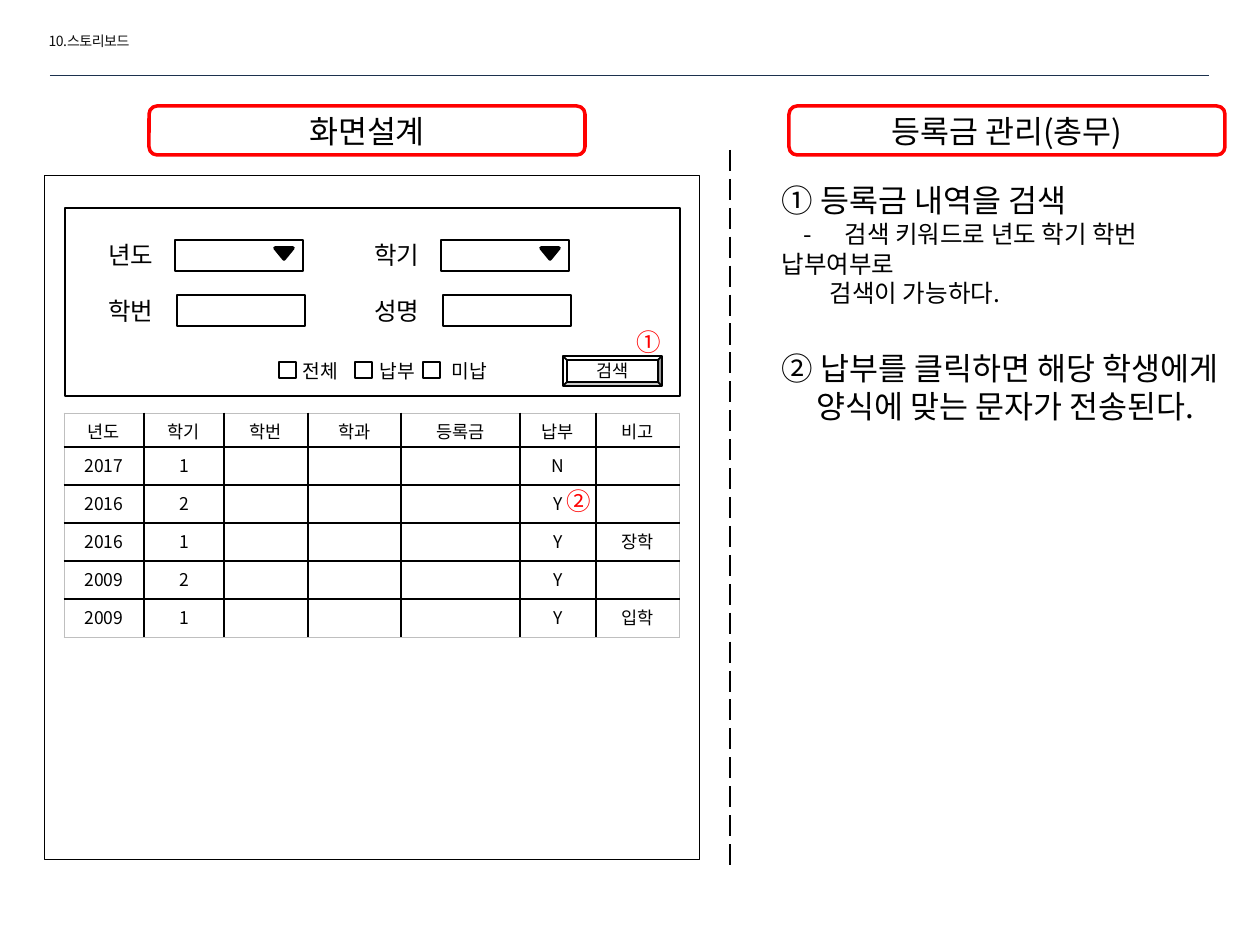
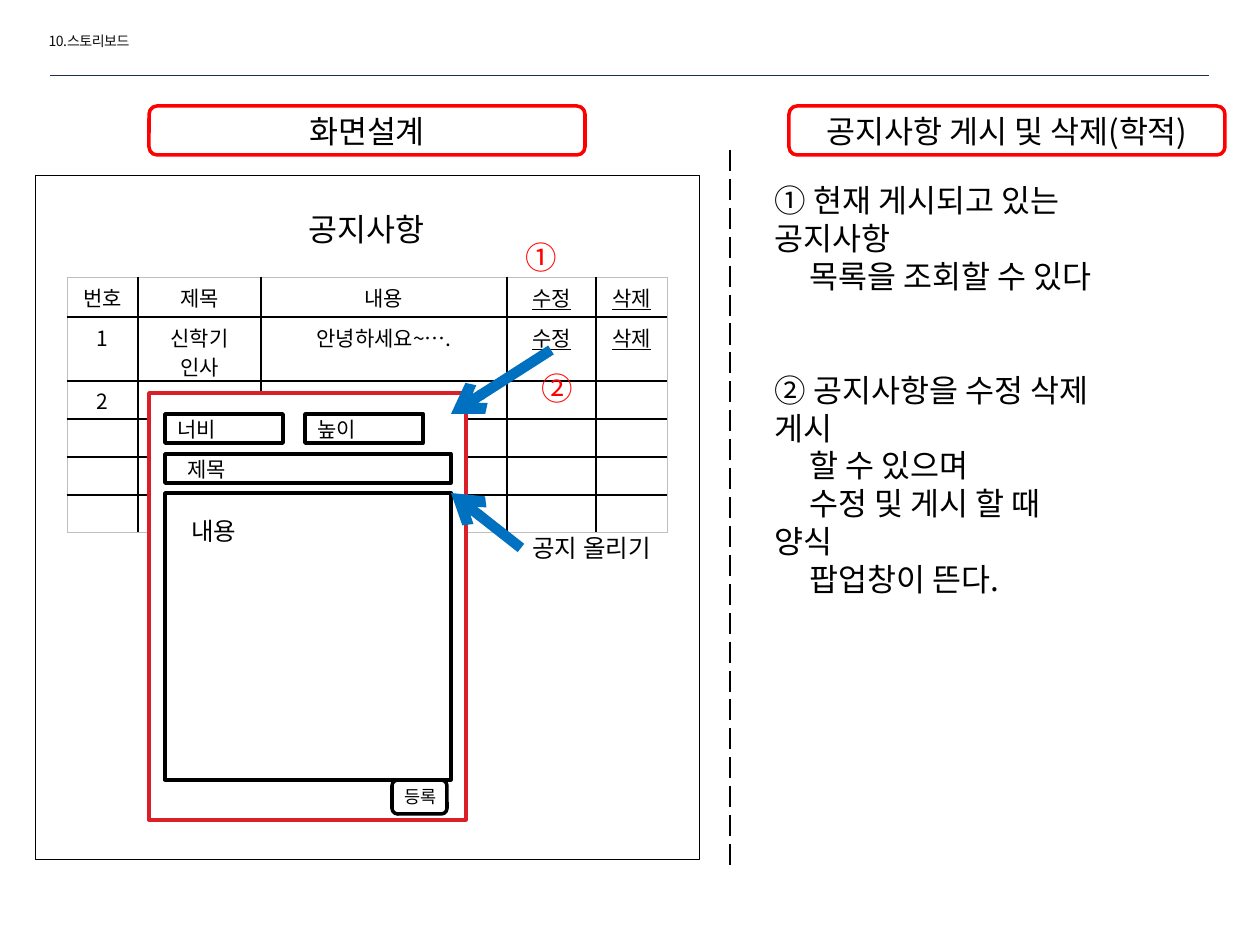
import pptx
import pptx.dml.color
import pptx.enum.dml
import pptx.enum.shapes
import pptx.enum.text
import pptx.oxml
import pptx.oxml.ns
import pptx.util
from lxml import etree

EMU_PER_PX = 914400 // 126
FONT = "Noto Sans CJK KR"
BLACK, WHITE, RED = "000000", "FFFFFF", "FF0000"
POPUP_RED, ARROW_BLUE, EDGE_GREY = "DA1F28", "0070C0", "BFBFBF"
TITLE_INK, RULE_NAVY = "0D0D0D", "1C314E"
SHAPES = pptx.enum.shapes.MSO_SHAPE
ALIGN = pptx.enum.text.PP_ALIGN
ANCHOR = pptx.enum.text.MSO_ANCHOR
LINK_WORDS = {"수정", "삭제"}


def px(length):
    return pptx.util.Emu(length * EMU_PER_PX)


def rgb(color):
    return pptx.dml.color.RGBColor.from_string(color)


def add_element(parent, tag, **attributes):
    return etree.SubElement(parent, pptx.oxml.ns.qn(tag), **attributes)


def style_paragraph(para, size, color=BLACK, align=ALIGN.LEFT, spacing=1.0):
    para.alignment = align
    para.line_spacing = spacing
    font = para.font
    font.size = pptx.util.Pt(size)
    font.color.rgb = rgb(color)
    font.name = FONT
    add_element(para._p.pPr.find(pptx.oxml.ns.qn("a:defRPr")), "a:ea", typeface=FONT)


def place(box, area):
    box.left, box.top, box.width, box.height = map(px, area)
    frame = box.text_frame
    frame.word_wrap = True
    frame.auto_size = pptx.enum.text.MSO_AUTO_SIZE.NONE
    frame.vertical_anchor = ANCHOR.TOP
    return frame


def add_title(page, text):
    frame = place(page.shapes.title, (36, 26, 218, 30))
    frame.text = text
    para = frame.paragraphs[0]
    style_paragraph(para, 8, TITLE_INK)
    para._p.pPr.find(pptx.oxml.ns.qn("a:defRPr")).set("spc", "-30")


def add_notes_list(page, area, entries):
    frame = place(page.placeholders[1], area)
    for index, (text, size, indent, gap) in enumerate(entries):
        para = frame.paragraphs[0] if index == 0 else frame.add_paragraph()
        para.text = text
        properties = para._p.get_or_add_pPr()
        properties.set("marL", "0")
        properties.set("indent", str(px(indent)))
        add_element(properties, "a:buNone")
        if "\t" in text:
            tabs = add_element(properties, "a:tabLst")
            add_element(tabs, "a:tab", pos=str(px(28)), algn="l")
        para.space_before = px(gap)
        style_paragraph(para, size)


def add_label(page, text, area, size, color=BLACK, align=ALIGN.LEFT):
    frame = place(page.shapes.add_textbox(0, 0, 0, 0), area)
    frame.text = text
    style_paragraph(frame.paragraphs[0], size, color, align)


def add_box(page, area, line=BLACK, width=1, fill=WHITE, kind=SHAPES.RECTANGLE, text="", size=10):
    box = page.shapes.add_shape(kind, *map(px, area))
    box.shadow.inherit = False
    if fill:
        box.fill.solid()
        box.fill.fore_color.rgb = rgb(fill)
    else:
        box.fill.background()
    box.line.color.rgb = rgb(line)
    box.line.width = pptx.util.Pt(width)
    if text:
        frame = box.text_frame
        frame.text = text
        frame.vertical_anchor = ANCHOR.MIDDLE
        style_paragraph(frame.paragraphs[0], size, align=ALIGN.CENTER)
    return box


def add_line(page, start, end, color, width, dash=None, arrow=False):
    straight = pptx.enum.shapes.MSO_CONNECTOR.STRAIGHT
    line = page.shapes.add_connector(straight, *map(px, start + end))
    line.line.color.rgb = rgb(color)
    line.line.width = pptx.util.Pt(width)
    if dash:
        line.line.dash_style = dash
    if arrow:
        add_element(line.line._get_or_add_ln(), "a:tailEnd", type="arrow")
    add_element(line._element.spPr, "a:effectLst")


def set_borders(cell, outer_sides):
    properties = cell._tc.get_or_add_tcPr()
    for index, side in enumerate("LRTB"):
        is_outer = side in outer_sides
        edge = add_element(properties, f"a:ln{side}", w="6350" if is_outer else "12700")
        fill = add_element(edge, "a:solidFill")
        add_element(fill, "a:srgbClr", val=EDGE_GREY if is_outer else BLACK)
        properties.insert(index, edge)


def add_grid(page, left, top, widths, heights, rows, size):
    area = (left, top, sum(widths), sum(heights))
    table = page.shapes.add_table(len(heights), len(widths), *map(px, area)).table
    table.first_row = table.horz_banding = False
    for column, width in zip(table.columns, widths):
        column.width = px(width)
    last_row, last_column = len(heights) - 1, len(widths) - 1
    for r, height in enumerate(heights):
        table.rows[r].height = px(height)
        for c, text in enumerate(rows[r]):
            cell = table.cell(r, c)
            cell.text = text
            cell.margin_top, cell.margin_bottom = px(6), 0
            cell.fill.background()
            para = cell.text_frame.paragraphs[0]
            style_paragraph(para, size, align=ALIGN.CENTER, spacing=0.95)
            if text in LINK_WORDS:
                para.font.underline = True
            edges = {"L": c == 0, "R": c == last_column, "T": r == 0, "B": r == last_row}
            set_borders(cell, [side for side, is_outer in edges.items() if is_outer])


def add_storyboard_page(deck, heading, frame_left):
    page = deck.slides.add_slide(deck.slide_layouts[1])
    add_title(page, "10.스토리보드")
    add_line(page, (50, 75), (1209, 75), RULE_NAVY, 0.25)
    add_line(page, (730, 150), (730, 869), BLACK, 1.5, pptx.enum.dml.MSO_LINE.LONG_DASH)
    for left, text in ((149, "화면설계"), (789, heading)):
        add_box(page, (left, 106, 436, 49), RED, 2, None, SHAPES.ROUNDED_RECTANGLE, text, 18)
    add_box(page, (frame_left, 175, 699 - frame_left, 684), width=0.25, fill=None)
    return page


def add_dropdown(page, left):
    add_box(page, (left, 240, 128, 31))
    arrow = add_box(page, (left + 100, 248, 18, 11), width=2, fill=BLACK,
                    kind=SHAPES.ISOSCELES_TRIANGLE)
    arrow.rotation = 180


def build_tuition_page(deck):
    page = add_storyboard_page(deck, "등록금 관리(총무)", 44)
    add_notes_list(page, (769, 175, 471, 269), [
        ("① 등록금 내역을 검색", 18, 0, 0),
        ("-\t검색 키워드로 년도 학기 학번 납부여부로", 14, 22, 0),
        ("검색이 가능하다.", 14, 48, 0),
        ("② 납부를 클릭하면 해당 학생에게", 18, 0, 42),
        ("양식에 맞는 문자가 전송된다.", 18, 35, 0),
    ])
    add_grid(page, 64, 413, (80, 80, 84, 93, 119, 76, 84), (34,) + (38,) * 5, [
        ("년도", "학기", "학번", "학과", "등록금", "납부", "비고"),
        ("2017", "1", "", "", "", "N", ""),
        ("2016", "2", "", "", "", "Y", ""),
        ("2016", "1", "", "", "", "Y", "장학"),
        ("2009", "2", "", "", "", "Y", ""),
        ("2009", "1", "", "", "", "Y", "입학"),
    ], 10)
    add_box(page, (65, 208, 615, 188))
    for left, choice, field in ((96, "년도", "학번"), (362, "학기", "성명")):
        add_label(page, choice, (left, 234, 97, 43), 14)
        add_dropdown(page, left + 79)
        add_label(page, field, (left, 290, 97, 43), 14)
        add_box(page, (left + 81, 295, 128, 31))
    for left, label_left, status in ((279, 290, "전체"), (355, 367, "납부"), (423, 439, "미납")):
        add_box(page, (left, 362, 17, 16))
        add_label(page, status, (label_left, 353, 72, 37), 11)
    add_box(page, (563, 356, 99, 30), kind=SHAPES.BEVEL, text="검색")
    add_label(page, "①", (624, 321, 45, 43), 14, RED)
    add_label(page, "②", (554, 480, 45, 43), 14, RED)


def build_notice_page(deck):
    page = add_storyboard_page(deck, "공지사항 게시 및 삭제(학적)", 35)
    add_notes_list(page, (762, 175, 355, 547), [
        ("① 현재 게시되고 있는 공지사항", 18, 0, 0),
        ("목록을 조회할 수 있다", 18, 35, 0),
        ("② 공지사항을 수정 삭제 게시", 18, 0, 76),
        ("할 수 있으며", 18, 35, 0),
        ("수정 및 게시 할 때 양식", 18, 35, 0),
        ("팝업창이 뜬다.", 18, 35, 0),
    ])
    blank = ("",) * 5
    add_grid(page, 67, 277, (71, 123, 246, 89, 71), (40, 63) + (38,) * 4, [
        ("번호", "제목", "내용", "수정", "삭제"),
        ("1", "신학기 인사", "안녕하세요~….", "수정", "삭제"),
        ("2",) + blank[1:],
        blank, blank, blank,
    ], 12)
    add_label(page, "공지사항", (268, 204, 198, 50), 18, align=ALIGN.CENTER)
    add_label(page, "공지 올리기", (520, 527, 159, 43), 14)
    add_box(page, (149, 393, 317, 427), POPUP_RED, 2)
    for area in ((165, 414, 118, 29), (305, 414, 118, 29), (165, 454, 286, 29), (165, 493, 286, 287)):
        add_box(page, area, width=2)
    add_label(page, "너비", (165, 410, 126, 38), 12)
    add_label(page, "높이", (305, 410, 126, 38), 12)
    add_label(page, "제목", (175, 450, 126, 38), 12)
    add_label(page, "내용", (179, 510, 103, 43), 14)
    add_line(page, (551, 350), (451, 414), ARROW_BLUE, 6, arrow=True)
    add_line(page, (521, 548), (451, 493), ARROW_BLUE, 6, arrow=True)
    add_box(page, (392, 780, 55, 34), width=2, kind=SHAPES.ROUNDED_RECTANGLE)
    add_label(page, "등록", (392, 780, 79, 34), 10)
    add_label(page, "①", (513, 232, 59, 50), 18, RED)
    add_label(page, "②", (529, 363, 59, 50), 18, RED)


def main():
    deck = pptx.Presentation()
    deck.slide_width, deck.slide_height = px(1260), px(945)
    build_tuition_page(deck)
    build_notice_page(deck)
    deck.save("out.pptx")


if __name__ == "__main__":
    main()
